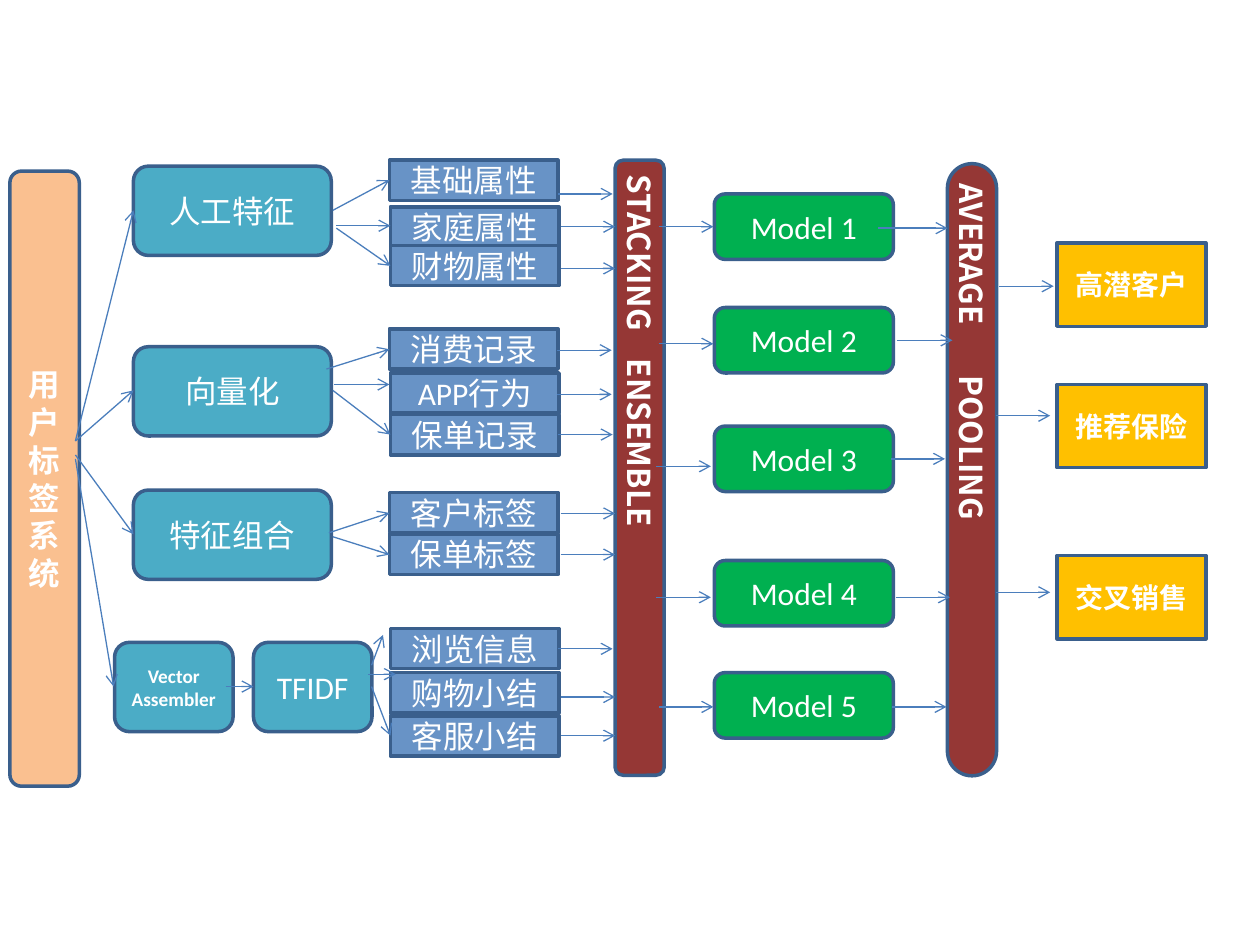
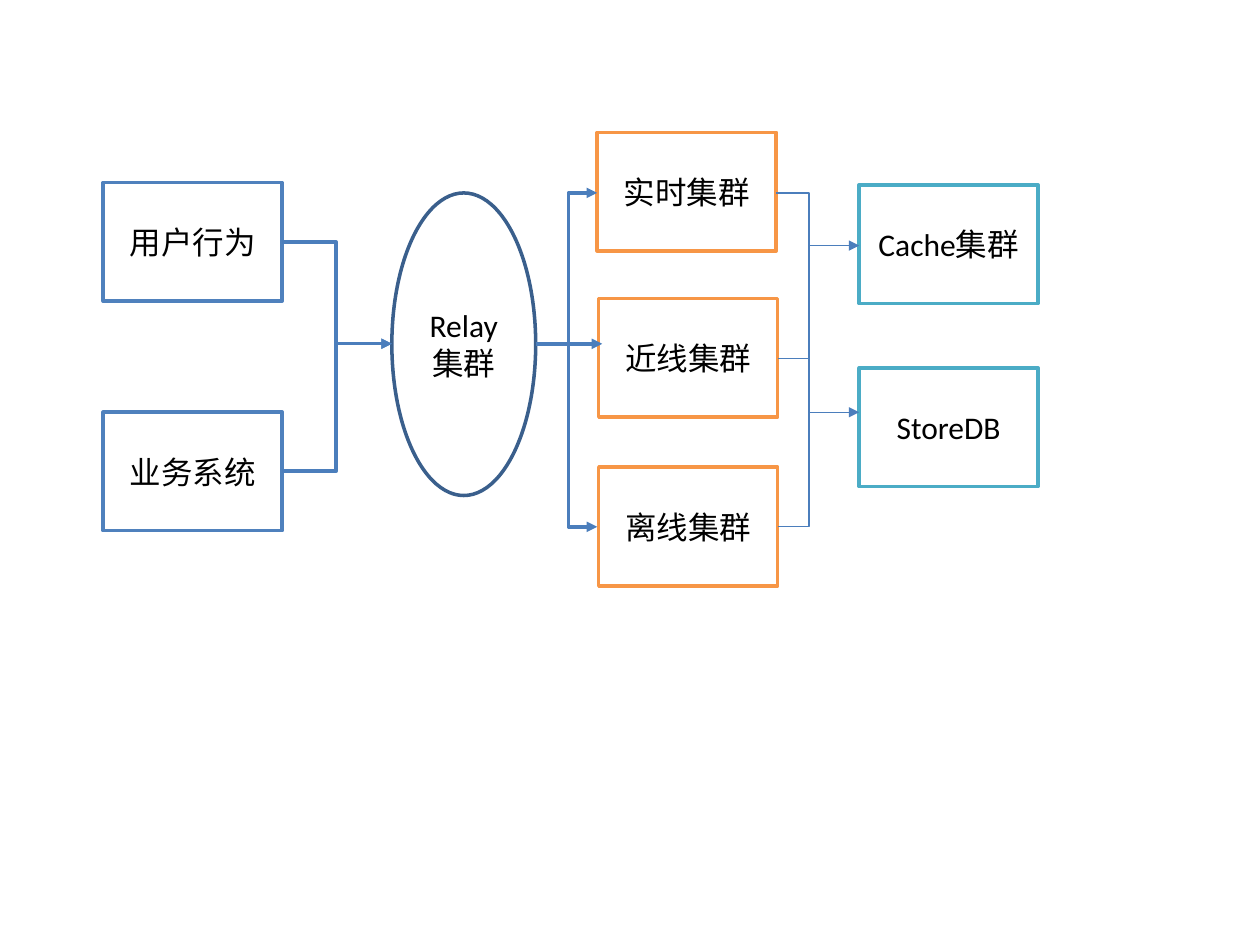
from lxml import etree
from pptx import Presentation
from pptx.dml.color import RGBColor
from pptx.enum.shapes import MSO_CONNECTOR, MSO_SHAPE
from pptx.enum.text import MSO_ANCHOR, PP_ALIGN
from pptx.oxml.ns import qn
from pptx.util import Cm, Pt

RECT = MSO_SHAPE.RECTANGLE
ROUND = MSO_SHAPE.ROUNDED_RECTANGLE
OVAL = MSO_SHAPE.OVAL
STRAIGHT = MSO_CONNECTOR.STRAIGHT
ELBOW = MSO_CONNECTOR.ELBOW
CENTER = PP_ALIGN.CENTER
LEFT = PP_ALIGN.LEFT
MIDDLE = MSO_ANCHOR.MIDDLE

LATIN = "Calibri"
CJK = "Noto Sans CJK SC"
BLANK_LAYOUT = 6
COLORS = {
    "white": "FFFFFF",
    "black": "000000",
    "edge": "3A5F8C",
    "arrow": "4B7EBC",
    "peach": "FAC090",
    "teal": "4BACC6",
    "steel": "6893C6",
    "wine": "953735",
    "green": "00B050",
    "gold": "FFC000",
    "blue": "4F81BD",
    "orange": "F79646",
}

FEATURES = [
    ("人工特征", 2.69, 3.35, 3.99),
    ("向量化", 2.69, 6.99, 3.99),
    ("特征组合", 2.69, 9.88, 3.99),
    ("TFIDF", 5.11, 12.95, 2.39),
]
ATTRIBUTES = [
    ("基础属性", 7.85, 3.23, 11.25, 3.91),
    ("家庭属性", 7.87, 4.17, 11.3, 4.57),
    ("财物属性", 7.87, 4.95, 11.3, 5.41),
    ("消费记录", 7.85, 6.63, 11.23, 7.06),
    ("APP行为", 7.87, 7.52, 11.23, 7.95),
    ("保单记录", 7.87, 8.36, 11.25, 8.76),
    ("客户标签", 7.85, 9.93, 11.3, 10.35),
    ("保单标签", 7.85, 10.77, 11.3, 11.18),
    ("浏览信息", 7.87, 12.67, 11.25, 13.08),
    ("购物小结", 7.87, 13.56, 11.3, 14.05),
    ("客服小结", 7.87, 14.43, 11.3, 14.83),
]
MODELS = [
    (3.91, 13.28, 4.57, 17.7, 19.1, 4.6),
    (6.2, 13.28, 6.93, 18.08, 19.2, 6.86),
    (8.59, 13.23, 9.4, 17.96, 19.05, 9.25),
    (11.3, 13.23, 12.04, 18.06, 19.15, 12.04),
    (13.56, 13.28, 14.25, 17.98, 19.08, 14.25),
]
OUTCOMES = [
    ("高潜客户", 4.9, 20.14, 5.77),
    ("推荐保险", 7.75, 20.07, 8.38),
    ("交叉销售", 11.2, 20.07, 11.94),
]
FAN_ARROWS = [
    (1.52, 8.89, 2.69, 4.24),
    (1.52, 8.89, 2.69, 7.87),
    (1.52, 9.17, 2.69, 10.77),
    (1.52, 9.25, 2.29, 13.84),
    (6.71, 4.24, 7.85, 3.63),
    (6.78, 4.55, 7.87, 4.55),
    (6.78, 4.6, 7.87, 5.36),
    (6.58, 7.44, 7.85, 7.04),
    (6.73, 7.75, 7.85, 7.75),
    (6.71, 7.87, 7.87, 8.76),
    (6.63, 10.74, 7.85, 10.34),
    (6.71, 10.82, 7.85, 11.18),
    (4.55, 13.84, 5.11, 13.84),
    (7.49, 13.41, 7.72, 12.8),
    (7.42, 13.59, 7.98, 13.59),
    (7.49, 13.84, 7.87, 14.83),
]
STEP = 1.1

SOURCES = [("用户行为", 2.08, 3.68), ("业务系统", 2.08, 8.31)]
CLUSTERS = [("实时集群", 12.04, 2.67), ("近线集群", 12.07, 6.02), ("离线集群", 12.07, 9.42)]
STORES = [("Cache集群", 17.32, 3.73), ("StoreDB", 17.32, 7.42)]


def color(name):
    return RGBColor.from_string(COLORS[name])


def style_span(span, size, ink, font, bold):
    span.font.size = Pt(size)
    span.font.bold = bold
    span.font.name = font
    span.font.color.rgb = color(ink)
    east_asian = etree.SubElement(span.font._element, qn("a:ea"))
    east_asian.set("typeface", CJK)


def add_box(page, kind, text, left, top, width, height, fill,
            edge="edge", size=18, ink="white", font=LATIN, bold=False):
    box = page.shapes.add_shape(kind, Cm(left), Cm(top), Cm(width), Cm(height))
    box.shadow.inherit = False
    box.fill.solid()
    box.fill.fore_color.rgb = color(fill)
    box.line.color.rgb = color(edge)
    box.line.width = Pt(2)
    frame = box.text_frame
    frame.word_wrap = True
    frame.vertical_anchor = MIDDLE
    frame.text = text
    for para in frame.paragraphs:
        para.alignment = CENTER
        for span in para.runs:
            style_span(span, size, ink, font, bold)
    return box


def add_vertical_bar(page, words, gap, left, top, height):
    bar = add_box(page, ROUND, "", left, top, 0.99, height, "wine")
    bar.text_frame._txBody.bodyPr.set("vert", "eaVert")
    para = bar.text_frame.paragraphs[0]
    para.alignment = LEFT
    first, second = words
    for text in (first, " ", second):
        span = para.add_run()
        span.text = text
        style_span(span, 18, "white", CJK, True)
        if text == " ":
            span.font._element.set("spc", str(gap * 100))
    return bar


def add_line(page, x1, y1, x2, y2, width=0.75, head="arrow", bend=None):
    kind = STRAIGHT if bend is None else ELBOW
    line = page.shapes.add_connector(kind, Cm(x1), Cm(y1), Cm(x2), Cm(y2))
    line.line.color.rgb = color("arrow")
    line.line.width = Pt(width)
    if head:
        etree.SubElement(line.line._get_or_add_ln(), qn("a:tailEnd")).set("type", head)
    properties = line._element.spPr
    etree.SubElement(properties, qn("a:effectLst"))
    if bend is not None:
        guides = properties.find(qn("a:prstGeom")).get_or_add_avLst()
        guide = etree.SubElement(guides, qn("a:gd"))
        guide.set("name", "adj1")
        guide.set("fmla", f"val {round((bend - x1) / (x2 - x1) * 100000)}")


def build_model_page(deck):
    page = deck.slides.add_slide(deck.slide_layouts[BLANK_LAYOUT])
    add_box(page, ROUND, "用户标签系统", 0.2, 3.45, 1.4, 12.4, "peach", font=CJK, bold=True)
    for label, left, top, width in FEATURES:
        add_box(page, ROUND, label, left, top, width, 1.8, "teal")
    add_box(page, ROUND, "Vector\nAssembler", 2.31, 12.95, 2.39, 1.8, "teal", size=11, bold=True)
    add_vertical_bar(page, ("STACKING", "ENSEMBLE"), 12, 12.4, 3.23, 12.4)
    pooling = add_vertical_bar(page, ("AVERAGE", "POOLING"), 25, 19.1, 3.3, 12.34)
    pooling.adjustments[0] = 0.5

    for label, left, top, arrow_x, arrow_y in ATTRIBUTES:
        add_box(page, RECT, label, left, top, 3.4, 0.81, "steel")
        add_line(page, arrow_x, arrow_y, arrow_x + STEP, arrow_y)
    for number, (top, in_x, in_y, out_x, out_end, out_y) in enumerate(MODELS, 1):
        add_box(page, ROUND, f"Model {number}", 14.4, top, 3.61, 1.32, "green")
        add_line(page, in_x, in_y, in_x + STEP, in_y)
        add_line(page, out_x, out_y, out_end, out_y)
    for label, top, arrow_x, arrow_y in OUTCOMES:
        add_box(page, RECT, label, 21.31, top, 3, 1.68, "gold", size=16, font=CJK, bold=True)
        add_line(page, arrow_x, arrow_y, arrow_x + STEP, arrow_y)
    for ends in FAN_ARROWS:
        add_line(page, *ends)


def build_cluster_page(deck):
    page = deck.slides.add_slide(deck.slide_layouts[BLANK_LAYOUT])
    for group, edge in ((SOURCES, "blue"), (CLUSTERS, "orange"), (STORES, "teal")):
        for label, left, top in group:
            add_box(page, RECT, label, left, top, 3.61, 2.39, "white", edge, ink="black")
    add_box(page, OVAL, "Relay集群", 7.9, 3.89, 2.9, 6.1, "white", ink="black")

    hub_y = 6.93
    for source_y in (4.88, 9.5):
        add_line(page, 5.69, source_y, 7.9, hub_y, 2, "triangle", bend=6.78)
    add_line(page, 10.8, hub_y, 12.14, hub_y, 2, "triangle")
    for cluster_y in (3.89, 10.62):
        add_line(page, 10.8, hub_y, 12.04, cluster_y, 2, "triangle", bend=11.46)

    bus_x = 16.31
    add_line(page, 15.65, 3.89, 15.68, 10.62, head=None, bend=bus_x)
    add_line(page, 15.68, 7.23, bus_x, 7.23, head=None)
    for store_y in (4.95, 8.31):
        add_line(page, bus_x, store_y, 17.32, store_y, head="triangle")


def main():
    deck = Presentation()
    deck.slide_width = Cm(25.4)
    deck.slide_height = Cm(19.05)
    build_model_page(deck)
    build_cluster_page(deck)
    deck.save("out.pptx")


if __name__ == "__main__":
    main()
